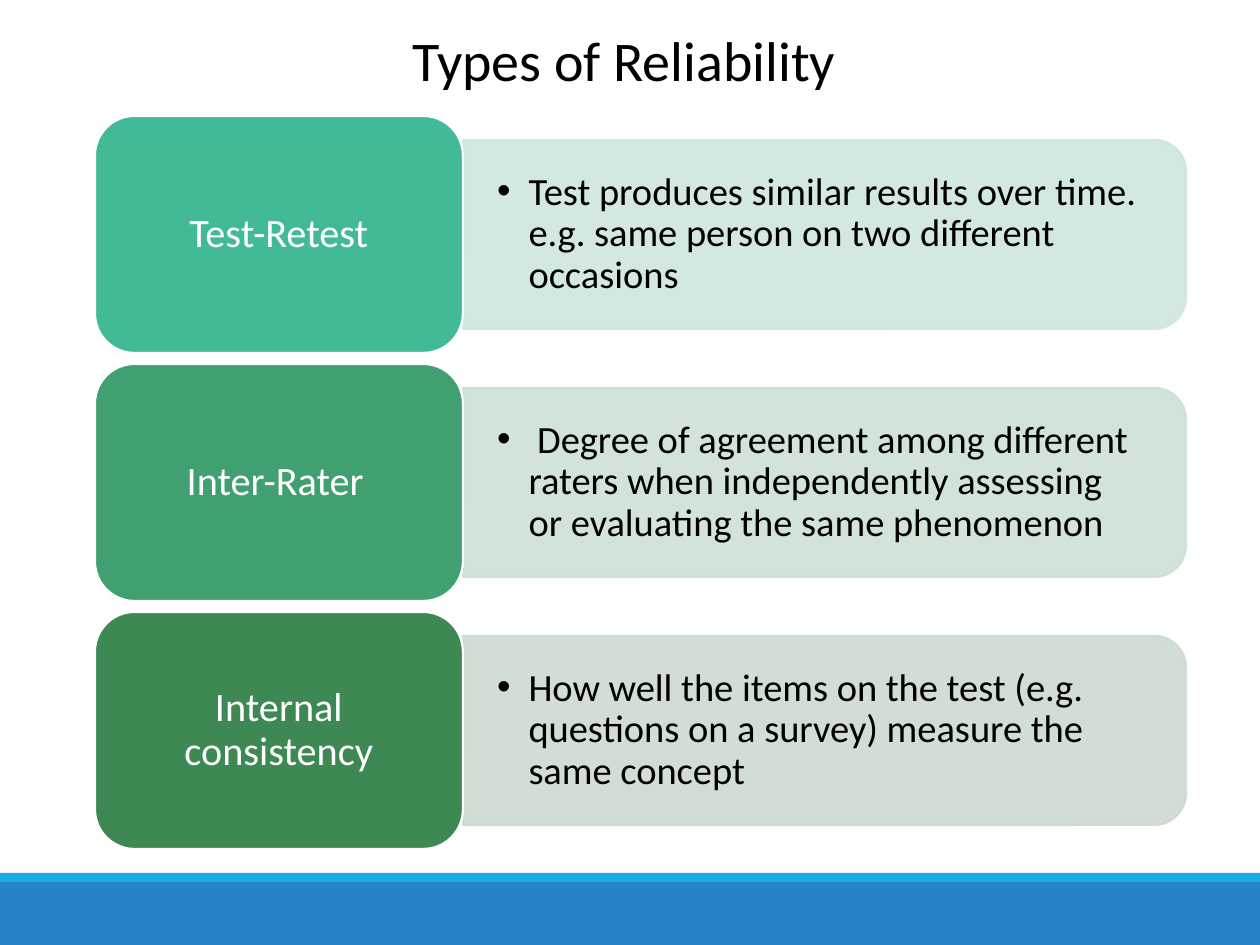
from dataclasses import dataclass

from lxml import etree
from pptx import Presentation
from pptx import util as u
from pptx.dml.color import RGBColor
from pptx.enum import shapes, text
from pptx.oxml.ns import qn

TITLE = "Types of Reliability "
TYPES = [
    {"label": [("Test-Retest", 23)], "block": "42BA97", "panel": "CFE7DD",
     "detail": "Test produces similar results over time. "
               "e.g. same person on two different occasions"},
    {"label": [("Inter-Rater", 23), (" ", 18)], "block": "41A070", "panel": "CEE0D5",
     "detail": " Degree of agreement among different raters when "
               "independently assessing or evaluating the same phenomenon"},
    {"label": [("Internal consistency", 23)], "block": "3E8853", "panel": "CEDAD1",
     "detail": "How well the items on the test (e.g. questions on a survey) "
               "measure the same concept"},
]


@dataclass(frozen=True)
class Theme:
    font: str = "Calibri"
    dark: str = "000000"
    light: str = "FFFFFF"
    footer: str = "2683C6"
    stripe: str = "1CADE4"
    title_size: int = 32
    detail_size: int = 22
    line_width: float = 1.25
    panel_alpha: int = 90


THEME = Theme()
PX = 914400 // 126
SLIDE_W, SLIDE_H = 1260, 945
FOOTER_H, STRIPE_H = 63, 9
LEFT, TOP, PITCH = 95, 116, 248
BLOCK_W, BLOCK_H = 368, 237
PANEL_W, PANEL_H = 723, 189
DETAIL_W, DETAIL_H = 714, 171


def px(*values):
    return [v * PX for v in values]


def set_alpha(fill):
    color = fill._xPr.find(qn("a:solidFill"))[0]
    etree.SubElement(color, qn("a:alpha"), val=str(THEME.panel_alpha * 1000))


def add_box(s, kind, box, fill, line=None, alpha=False):
    sp = s.shapes.add_shape(kind, *px(*box))
    sp.shadow.inherit = False
    sp.fill.solid()
    sp.fill.fore_color.rgb = RGBColor.from_string(fill)
    if line:
        sp.line.color.rgb = RGBColor.from_string(line)
        sp.line.width = u.Pt(THEME.line_width)
    else:
        sp.line.fill.background()
    if alpha:
        set_alpha(sp.fill)
        set_alpha(sp.line.fill)
    return sp


def set_frame(tf, anchor, side, end):
    tf.word_wrap = True
    tf.auto_size = text.MSO_AUTO_SIZE.NONE
    tf.vertical_anchor = anchor
    tf.margin_left = tf.margin_right = u.Inches(side)
    tf.margin_top = tf.margin_bottom = u.Inches(end)
    return tf.paragraphs[0]


def add_run(p, words, size, color):
    r = p.add_run()
    r.text = words
    r.font.name = THEME.font
    r.font.size = u.Pt(size)
    r.font.color.rgb = RGBColor.from_string(color)


def add_bullet(p):
    pPr = p._p.get_or_add_pPr()
    pPr.set("marL", str(u.Inches(0.25)))
    pPr.set("indent", str(-u.Inches(0.25)))
    etree.SubElement(pPr, qn("a:buFont"), typeface="Arial")
    etree.SubElement(pPr, qn("a:buChar"), char="•")


def add_title(s):
    sp = s.shapes.title
    sp.left, sp.top, sp.width, sp.height = px(173, 19, 915, 198)
    p = set_frame(sp.text_frame, text.MSO_ANCHOR.TOP, 0.1, 0.05)
    p.alignment = text.PP_ALIGN.CENTER
    add_run(p, TITLE, THEME.title_size, THEME.dark)


def add_type(s, item, top):
    middle = top + BLOCK_H / 2
    panel_left = LEFT + BLOCK_W
    box = (panel_left + (PANEL_W - PANEL_H) / 2, middle - PANEL_W / 2, PANEL_H, PANEL_W)
    panel = add_box(s, shapes.MSO_SHAPE.ROUND_2_SAME_RECTANGLE,
                    [round(v) for v in box], item["panel"], item["panel"], True)
    panel.rotation = 90

    detail = s.shapes.add_textbox(
        *px(panel_left, round(middle - DETAIL_H / 2), DETAIL_W, DETAIL_H))
    p = set_frame(detail.text_frame, text.MSO_ANCHOR.MIDDLE, 0.27, 0.14)
    add_bullet(p)
    p.line_spacing = 0.9
    add_run(p, item["detail"], THEME.detail_size, THEME.dark)

    block = add_box(s, shapes.MSO_SHAPE.ROUNDED_RECTANGLE,
                    (LEFT, top, BLOCK_W, BLOCK_H), item["block"], THEME.light)
    p = set_frame(block.text_frame, text.MSO_ANCHOR.MIDDLE, 0.1, 0.05)
    p.alignment = text.PP_ALIGN.CENTER
    p.line_spacing = 0.9
    for words, size in item["label"]:
        add_run(p, words, size, THEME.light)


def main():
    prs = Presentation()
    prs.slide_width, prs.slide_height = px(SLIDE_W, SLIDE_H)
    s = prs.slides.add_slide(prs.slide_layouts[5])
    footer_top = SLIDE_H - FOOTER_H
    rect = shapes.MSO_SHAPE.RECTANGLE
    add_box(s, rect, (0, footer_top, SLIDE_W, FOOTER_H), THEME.footer)
    add_box(s, rect, (0, footer_top - STRIPE_H, SLIDE_W, STRIPE_H), THEME.stripe)
    add_title(s)
    for i, item in enumerate(TYPES):
        add_type(s, item, TOP + i * PITCH)
    prs.save("out.pptx")


if __name__ == "__main__":
    main()
